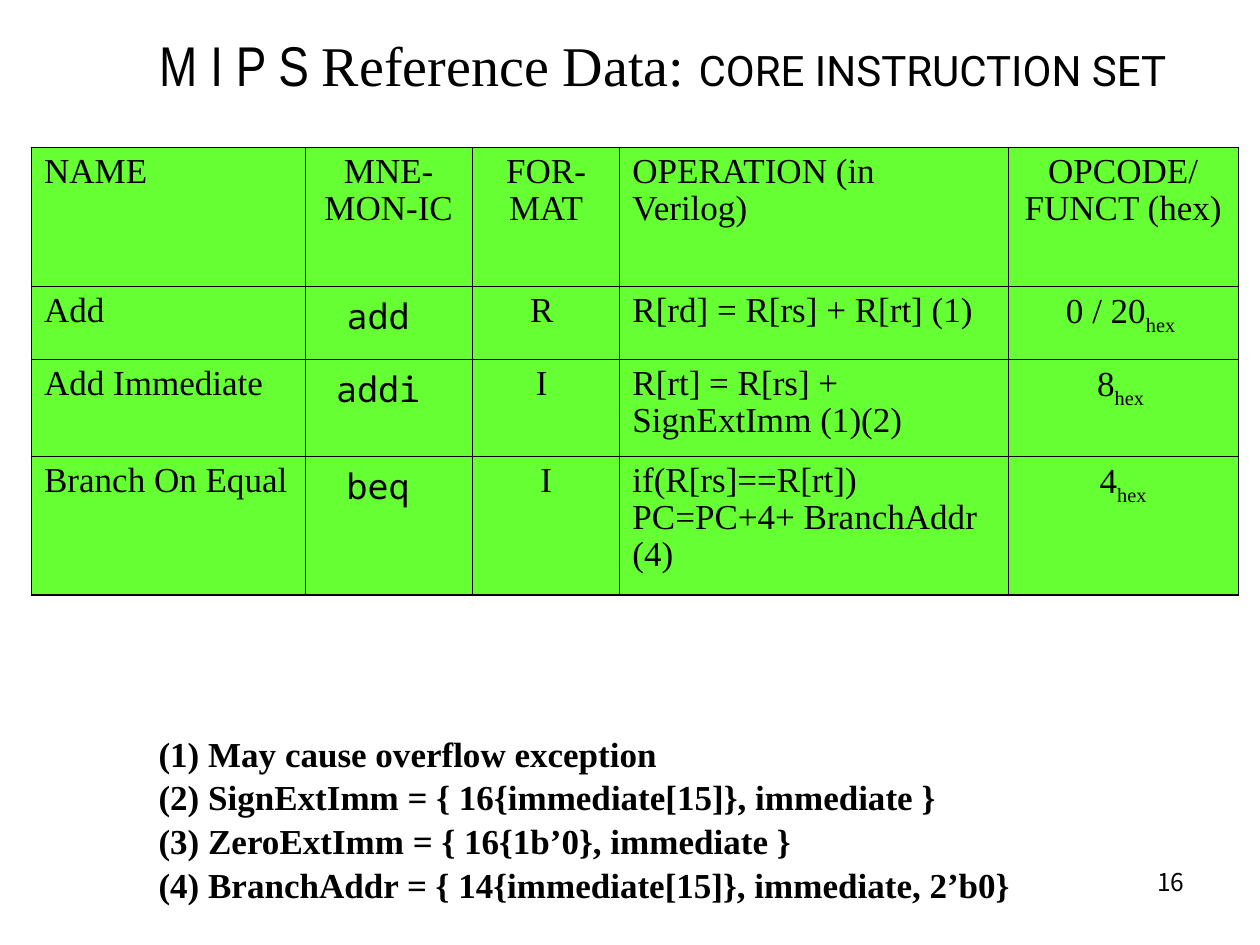
from pptx import Presentation
from pptx.util import Inches, Pt
from pptx.dml.color import RGBColor
from pptx.enum.text import PP_ALIGN as Align, MSO_ANCHOR as Anchor
from pptx.oxml import parse_xml
from pptx.oxml.ns import nsdecls

SERIF, MONO = "Times New Roman", "Noto Sans Mono"
BLACK, GREEN = "000000", "66FF33"


def put(para, text, size, face, bold=False):
    """Add one black run to a paragraph and return it."""
    run = para.add_run()
    run.text = text
    font = run.font
    font.size, font.name, font.bold = Pt(size), face, bold
    font.color.rgb = RGBColor.from_string(BLACK)
    return run


def edge(cell, side, width):
    """Draw one cell border; side is L, R, T or B."""
    cell._tc.get_or_add_tcPr().append(parse_xml(
        f'<a:ln{side} {nsdecls("a")} w="{Pt(width)}"><a:solidFill>'
        f'<a:srgbClr val="{BLACK}"/></a:solidFill></a:ln{side}>'))


deck = Presentation()
deck.slide_width, deck.slide_height = Inches(10), Inches(7.5)
slide = deck.slides.add_slide(deck.slide_layouts[6])
shapes = slide.shapes

# Title
frame = shapes.add_textbox(Inches(0.42), Inches(0.25), Inches(9.68), Inches(0.52)).text_frame
frame.margin_left = frame.margin_right = frame.margin_top = frame.margin_bottom = 0
frame.word_wrap = True
frame.vertical_anchor = Anchor.MIDDLE
para = frame.paragraphs[0]
para.alignment = Align.CENTER
put(para, "M I P S ", 32, "Arial Narrow")
put(para, "Reference Data: ", 32, SERIF)
put(para, "CORE INSTRUCTION SET", 24, "Roboto")

# Instruction table: a tuple holds a number and its subscript
rows = [
    ["NAME", "MNE-MON-IC", "FOR-MAT", "OPERATION (in Verilog)", "OPCODE/ FUNCT (hex)"],
    ["Add", "add ", "R ", "R[rd] = R[rs] + R[rt] (1)", ("0 / 20", "hex ")],
    ["Add Immediate", "addi ", "I ", "R[rt] = R[rs] + SignExtImm (1)(2)", ("8", "hex ")],
    ["Branch On Equal", "beq ", "I", "if(R[rs]==R[rt]) PC=PC+4+ BranchAddr (4)", ("4", "hex")],
]
widths = [2.17, 1.33, 1.17, 3.08, 1.83]
heights = [1.1, 0.58, 0.77, 1.1]
last_row, last_col = len(heights) - 1, len(widths) - 1
table = shapes.add_table(len(heights), len(widths), Inches(0.25), Inches(1.17),
                         Inches(sum(widths)), Inches(sum(heights))).table
for col, width in zip(table.columns, widths):
    col.width = Inches(width)
for row, height in zip(table.rows, heights):
    row.height = Inches(height)

for r, row in enumerate(rows):
    for c, item in enumerate(row):
        cell = table.cell(r, c)
        cell.margin_left = cell.margin_right = Inches(0.1)
        cell.margin_top = cell.margin_bottom = Inches(0.05)
        outer = {"L": c == 0, "R": c == last_col, "T": r == 0, "B": r == last_row}
        for side, thick in outer.items():
            edge(cell, side, 1.08 if thick else 0.45)
        cell.fill.solid()
        cell.fill.fore_color.rgb = RGBColor.from_string(GREEN)
        para = cell.text_frame.paragraphs[0]
        para.line_spacing = 0.96
        para.alignment = Align.LEFT if c in (0, 3) else Align.CENTER
        face = MONO if r and c == 1 else SERIF
        if isinstance(item, tuple):
            put(para, item[0], 20, face)
            sub = put(para, item[1], 20, face)
            sub.font._element.set("baseline", "-25000")
        else:
            put(para, item, 20, face)

# Notes on the operations
notes = [
    "(1) May cause overflow exception",
    "(2) SignExtImm = { 16{immediate[15]}, immediate }",
    "(3) ZeroExtImm = { 16{1b’0}, immediate }",
    "(4) BranchAddr = { 14{immediate[15]}, immediate, 2’b0}",
]
frame = shapes.add_textbox(Inches(1.16), Inches(5.75), Inches(7.79), Inches(1.77)).text_frame
frame.word_wrap = True
for i, note in enumerate(notes):
    para = frame.add_paragraph() if i else frame.paragraphs[0]
    para.line_spacing = 1.04
    put(para, note, 20, SERIF, bold=True)

# Page number
frame = shapes.add_textbox(Inches(7.17), Inches(6.83), Inches(2.33), Inches(0.52)).text_frame
frame.word_wrap = True
para = frame.paragraphs[0]
para.alignment = Align.RIGHT
put(para, "16", 14, "Noto Sans CJK KR")

deck.save("out.pptx")
